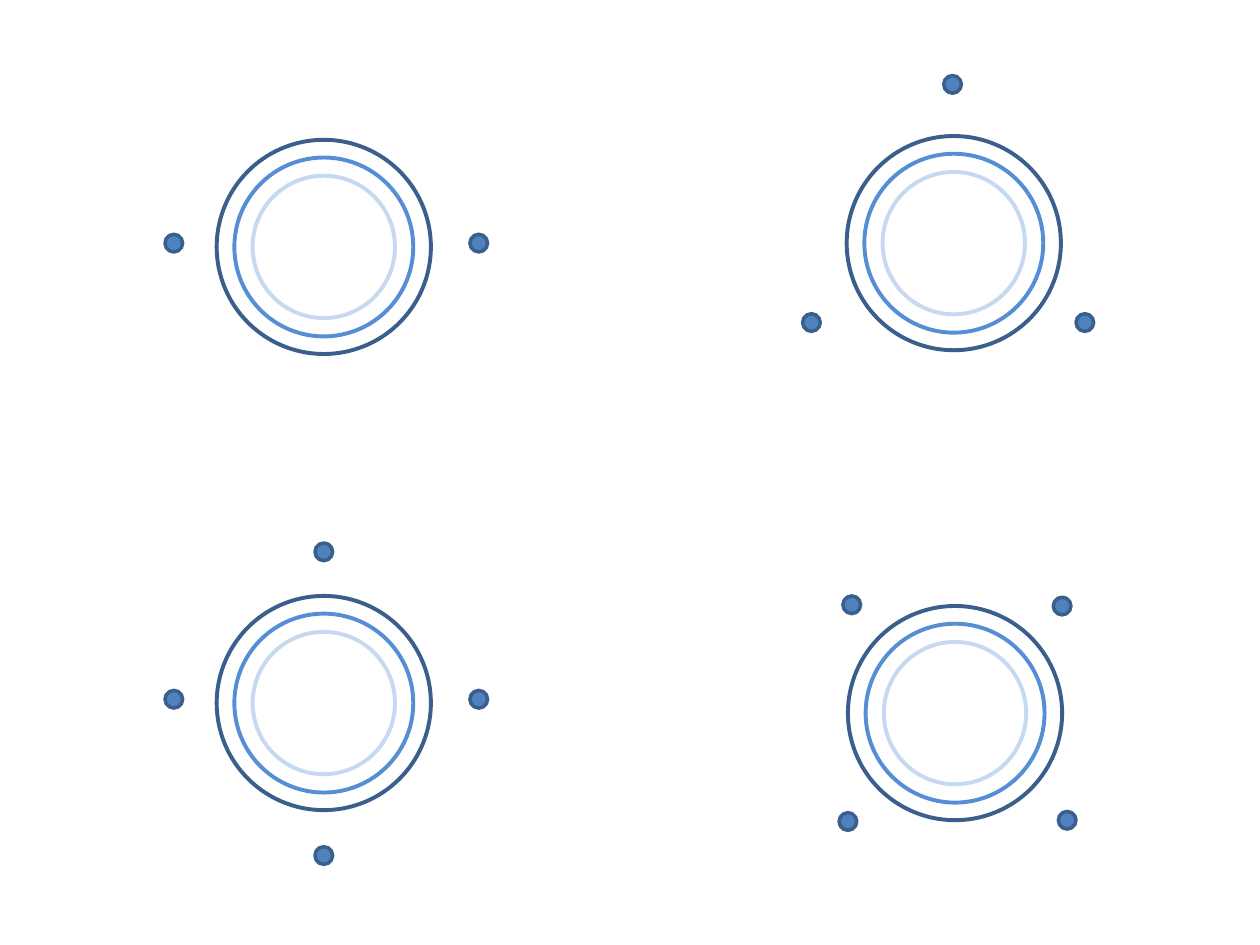
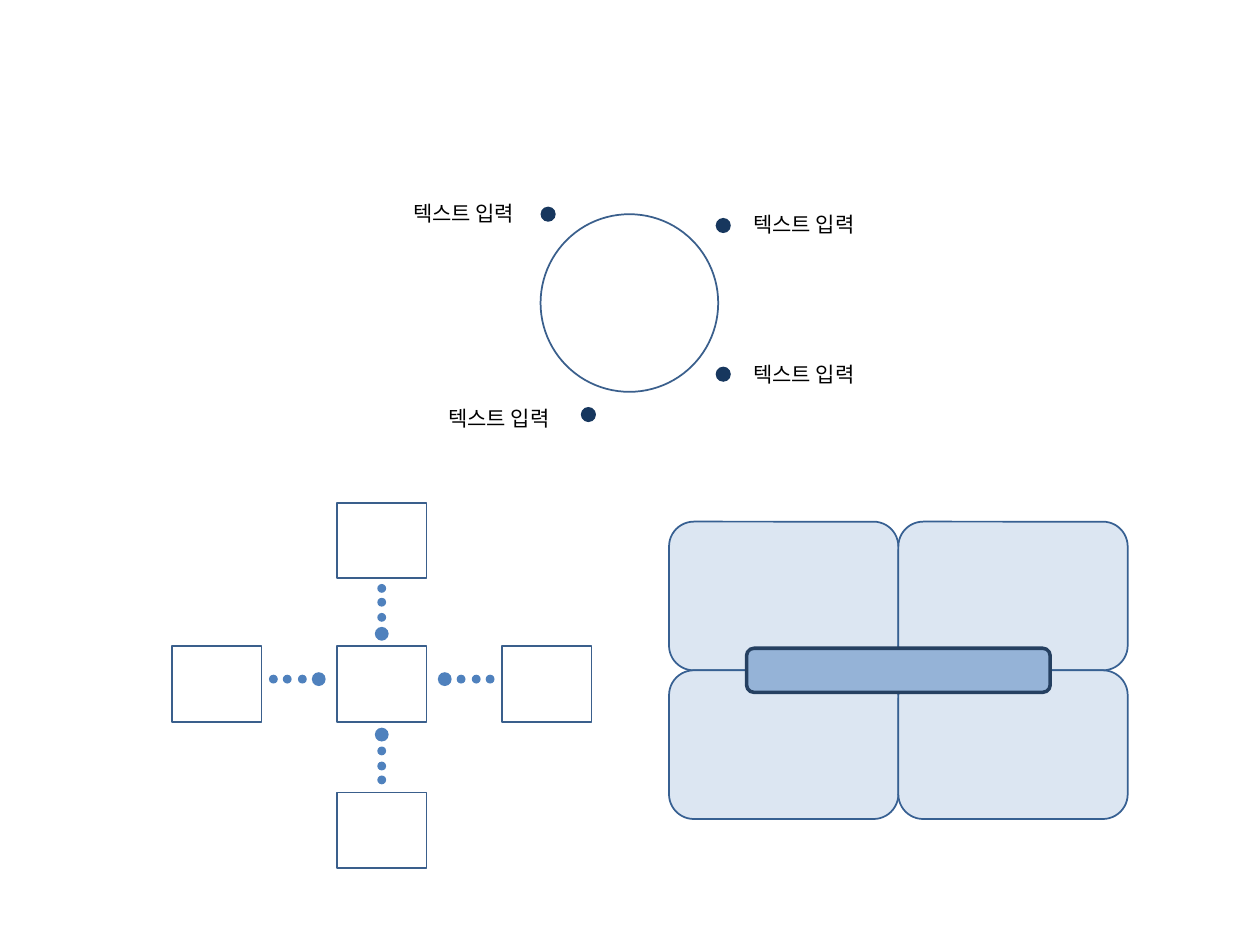
from dataclasses import dataclass
from lxml.etree import SubElement
from pptx import Presentation
from pptx.dml.color import RGBColor
from pptx.enum.shapes import MSO_SHAPE
from pptx.enum.text import MSO_AUTO_SIZE
from pptx.oxml.ns import qn
from pptx.util import Inches, Pt


@dataclass(frozen=True)
class Theme:
    """Colours, font and sizes shared by both slides."""
    outline: str = "3A5F8C"
    accent: str = "4F81BD"
    navy: str = "17375E"
    white: str = "FFFFFF"
    ring_mid: str = "558ED5"
    ring_light: str = "C6D9F1"
    panel: str = "DCE6F2"
    panel_line: str = "376092"
    bar: str = "95B3D7"
    bar_line: str = "254061"
    text: str = "000000"
    font: str = "Noto Sans CJK KR"
    label_size: float = 12
    thin: float = 1
    medium: float = 2
    ring_width: float = 2.25


T = Theme()


def add_box(shapes, kind, x, y, w, h, fill=None, line=None, width=T.thin):
    """Add a preset shape with an optional fill and outline."""
    sp = shapes.add_shape(kind, Inches(x), Inches(y), Inches(w), Inches(h))
    sp.shadow.inherit = False
    if fill:
        sp.fill.solid()
        sp.fill.fore_color.rgb = RGBColor.from_string(fill)
    else:
        sp.fill.background()
    if line:
        sp.line.color.rgb = RGBColor.from_string(line)
        sp.line.width = Pt(width)
    else:
        sp.line.fill.background()
    return sp


def add_circle(shapes, cx, cy, d, **style):
    """Add a circle around a centre point."""
    return add_box(shapes, MSO_SHAPE.OVAL, cx - d / 2, cy - d / 2, d, d, **style)


def add_label(s, x, y, text):
    """Add a one-line text label."""
    tb = s.shapes.add_textbox(Inches(x), Inches(y), Inches(1.1), Inches(0.3))
    tf = tb.text_frame
    tf.word_wrap = False
    tf.auto_size = MSO_AUTO_SIZE.SHAPE_TO_FIT_TEXT
    p = tf.paragraphs[0]
    p.add_run().text = text
    p.font.size = Pt(T.label_size)
    p.font.color.rgb = RGBColor.from_string(T.text)
    p.font.name = T.font
    SubElement(p._p.pPr.find(qn("a:defRPr")), qn("a:ea"), typeface=T.font)


def ring_cluster(s, cx, cy, satellites):
    """Draw three concentric rings and the dots around them."""
    for dx, dy in satellites:
        add_circle(s.shapes, cx + dx, cy + dy, 0.14,
                   fill=T.accent, line=T.outline, width=T.medium)
    for d, colour in ((1.7, T.outline), (1.42, T.ring_mid), (1.13, T.ring_light)):
        add_circle(s.shapes, cx, cy, d, fill=T.white, line=colour, width=T.ring_width)


def labelled_circle(s, x, y):
    """Draw a circle with four dots, each with its label."""
    d = 1.41
    add_circle(s.shapes, x + d / 2, y + d / 2, d, line=T.outline)
    callouts = (((1.45, 0.09), (1.59, -0.07)), ((1.45, 1.27), (1.59, 1.12)),
                ((0.06, 0), (-1.11, -0.16)), ((0.38, 1.59), (-0.83, 1.47)))
    for (dot_x, dot_y), (label_x, label_y) in callouts:
        add_circle(s.shapes, x + dot_x, y + dot_y, 0.12, fill=T.navy)
        add_label(s, x + label_x, y + label_y, "텍스트 입력")


def dot_chain(s, x, y, dx, dy):
    """Draw a grouped large dot with three small dots leading away from it."""
    g = s.shapes.add_group_shape()
    add_circle(g.shapes, x, y, 0.11, fill=T.accent)
    for step in (0.13, 0.25, 0.36):
        add_circle(g.shapes, x + step * dx, y + step * dy, 0.07, fill=T.accent)


def hub_diagram(s, cx, cy):
    """Draw a centre box linked by dot chains to four outer boxes."""
    w, h = 0.71, 0.6
    for dx, dy in ((0, 0), (-1.31, 0), (1.31, 0), (0, -1.14), (0, 1.16)):
        add_box(s.shapes, MSO_SHAPE.RECTANGLE, cx + dx - w / 2, cy + dy - h / 2,
                w, h, line=T.outline)
    for side in (-1, 1):
        dot_chain(s, cx, cy + 0.4 * side, 0, side)
        dot_chain(s, cx + 0.5 * side, cy - 0.04, side, 0)


def quadrant_panel(s, x, y):
    """Draw a two-by-two grid of rounded panels with a bar over its centre."""
    w, h = 1.82, 1.18
    for i in range(4):
        row, col = divmod(i, 2)
        add_box(s.shapes, MSO_SHAPE.ROUNDED_RECTANGLE, x + col * w, y + row * h,
                w, h, fill=T.panel, line=T.panel_line)
    bar_w, bar_h = 2.41, 0.35
    add_box(s.shapes, MSO_SHAPE.ROUNDED_RECTANGLE, x + w - bar_w / 2, y + h - bar_h / 2,
            bar_w, bar_h, fill=T.bar, line=T.bar_line, width=T.medium)


def rings_slide(prs):
    """Build the slide of four ring clusters."""
    s = prs.slides.add_slide(prs.slide_layouts[6])
    sides = [(-1.19, -0.03), (1.23, -0.03)]
    ring_cluster(s, 2.57, 1.96, sides)
    ring_cluster(s, 7.57, 1.93, [(-1.13, 0.63), (1.04, 0.63), (-0.01, -1.26)])
    ring_cluster(s, 2.57, 5.58, sides + [(0, -1.2), (0, 1.21)])
    ring_cluster(s, 7.58, 5.66,
                 [(-0.82, -0.86), (0.89, 0.85), (0.85, -0.85), (-0.85, 0.86)])


def diagrams_slide(prs):
    """Build the slide of the circle, hub and quadrant diagrams."""
    s = prs.slides.add_slide(prs.slide_layouts[6])
    labelled_circle(s, 4.29, 1.7)
    hub_diagram(s, 3.03, 5.43)
    quadrant_panel(s, 5.31, 4.14)


def main():
    """Build and save the presentation."""
    prs = Presentation()
    prs.slide_width, prs.slide_height = Inches(10), Inches(7.5)
    rings_slide(prs)
    diagrams_slide(prs)
    prs.save("out.pptx")


if __name__ == "__main__":
    main()
